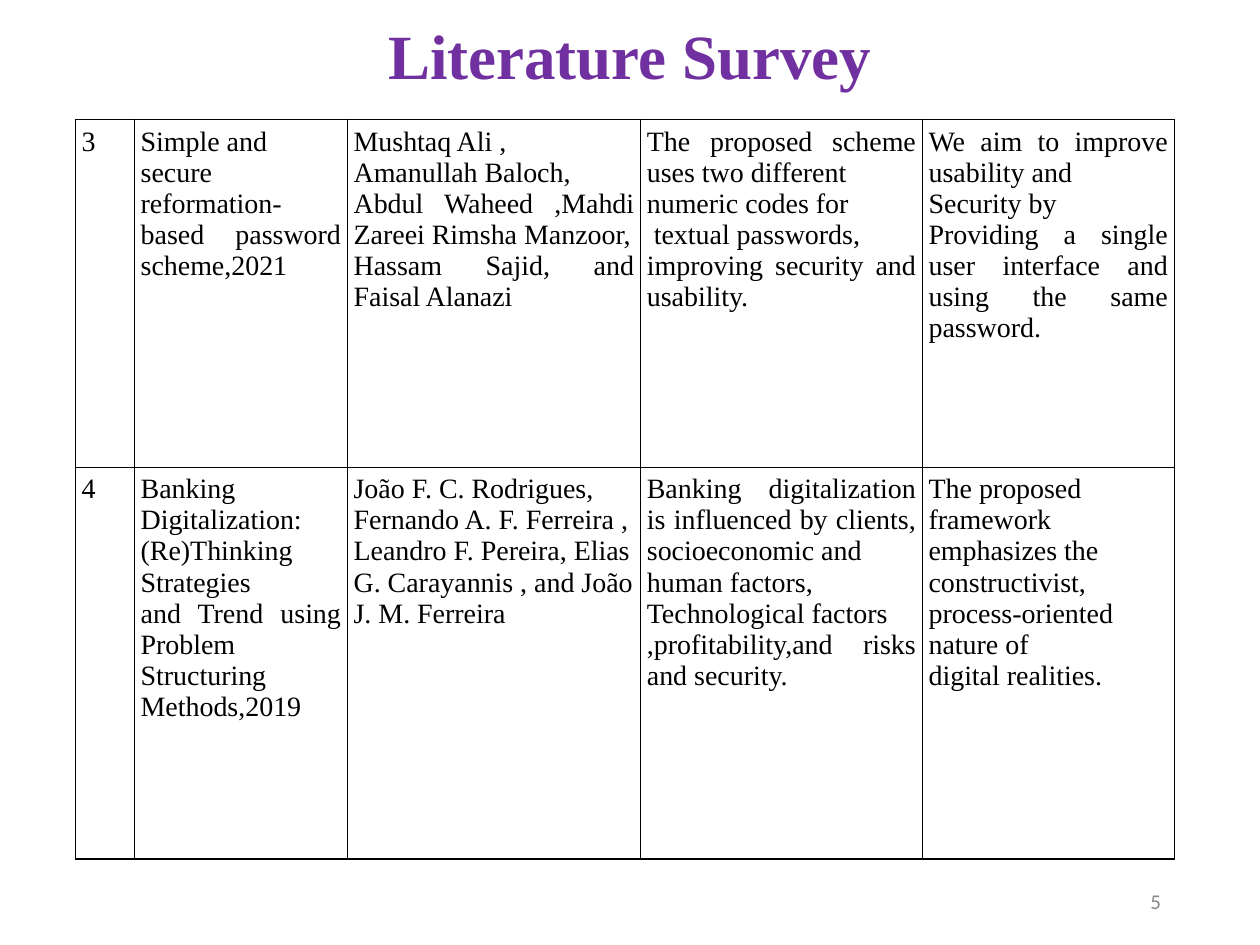
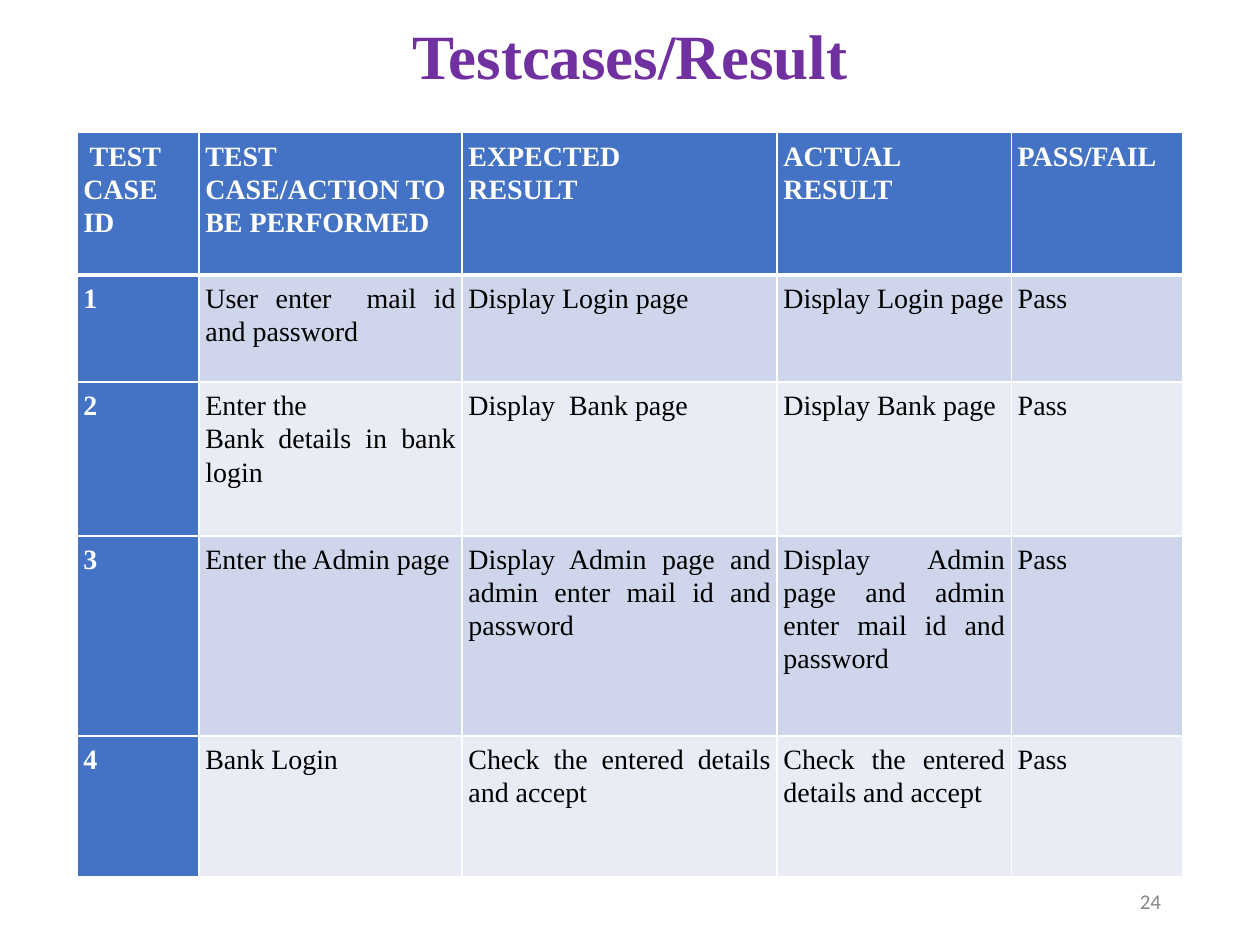
"""Build the literature survey and test case slides."""
import dataclasses

import lxml.etree
import pptx
import pptx.dml.color
import pptx.enum.text
import pptx.oxml.ns
import pptx.presentation
import pptx.slide
import pptx.table
import pptx.util

Pt = pptx.util.Pt
RGBColor = pptx.dml.color.RGBColor
ALIGN = pptx.enum.text.PP_ALIGN
MIDDLE = pptx.enum.text.MSO_ANCHOR.MIDDLE

PURPLE = RGBColor(0x70, 0x30, 0xA0)
GREY = RGBColor(0x88, 0x88, 0x88)
BLACK = RGBColor(0, 0, 0)
WHITE = RGBColor(0xFF, 0xFF, 0xFF)
BLUE = RGBColor(0x44, 0x72, 0xC4)
BAND_DARK = RGBColor(0xCF, 0xD5, 0xEA)
BAND_LIGHT = RGBColor(0xE9, 0xEB, 0xF5)

SERIF = "Times New Roman"
SANS = "Calibri"


@dataclasses.dataclass(frozen=True)
class TableStyle:
    """Colours and spacing of a table; headed tables have a blue first row and column."""
    border: RGBColor
    bands: tuple[RGBColor, RGBColor]
    headed: bool
    line_spacing: float


@dataclasses.dataclass(frozen=True)
class TableSlide:
    """A titled, numbered slide holding one table."""
    title: str
    number: int
    left: float
    top: float
    cols: tuple[float, ...]
    rows: tuple[float, ...]
    style: TableStyle
    cells: tuple[tuple[str, ...], ...]
    left_aligned: tuple[tuple[int, int], ...] = ()


PLAIN = TableStyle(BLACK, (WHITE, WHITE), False, 1.0)
BANDED = TableStyle(WHITE, (BAND_LIGHT, BAND_DARK), True, 1.07)

SLIDES = (
    TableSlide(
        "Literature Survey", 5, 43, 68.4,
        (33.8, 121.7, 167.6, 161, 144), (198.7, 223.9), PLAIN,
        (
            ("3",
             "Simple and\nsecure reformation-based password scheme,2021",
             "Mushtaq Ali ,\nAmanullah Baloch,\n"
             "Abdul Waheed ,Mahdi Zareei Rimsha Manzoor,\n"
             "Hassam Sajid, and Faisal Alanazi",
             "The proposed scheme uses two different\nnumeric codes for\n"
             " textual passwords,\nimproving security and usability.",
             "We aim to improve usability and\nSecurity by\n"
             "Providing a single user interface and using the same password."),
            ("4",
             "Banking Digitalization: (Re)Thinking Strategies\n"
             "and Trend using Problem Structuring Methods,2019",
             "João F. C. Rodrigues, Fernando A. F. Ferreira , Leandro F. Pereira, "
             "Elias G. Carayannis , and João J. M. Ferreira",
             "Banking digitalization is influenced by clients, socioeconomic and\n"
             "human factors,\nTechnological factors\n"
             ",profitability,and risks and security.",
             "The proposed\nframework emphasizes the\n"
             "constructivist, process-oriented nature of\ndigital realities."),
        ),
        left_aligned=((1, 2),),
    ),
    TableSlide(
        "Testcases/Result", 24, 44, 75.8,
        (69.8, 150.3, 180, 133.9, 97.9), (81.4, 61.2, 87.8, 114.5, 80.4), BANDED,
        (
            (" TEST CASE ID", "TEST CASE/ACTION TO BE PERFORMED",
             "EXPECTED\nRESULT", "ACTUAL RESULT", "PASS/FAIL"),
            ("1", "User enter  mail id and password",
             "Display Login page", "Display Login page", "Pass"),
            ("2", "Enter the\nBank details in bank login",
             "Display  Bank page", "Display Bank page", "Pass"),
            ("3", "Enter the Admin page",
             "Display Admin page and admin enter mail id and password",
             "Display Admin page and admin enter mail id and password", "Pass"),
            ("4", "Bank Login", "Check the entered details and accept",
             "Check the entered details and accept", "Pass"),
        ),
    ),
)


def format_paragraph(p, align: ALIGN, font: str, size: float, color: RGBColor,
                     bold: bool = False, spacing: float = 1.0) -> None:
    """Set the alignment, spacing and font of a paragraph."""
    p.alignment = align
    p.line_spacing = spacing
    p.font.name = font
    p.font.size = Pt(size)
    p.font.bold = bold
    p.font.color.rgb = color


def set_borders(cell: pptx.table._Cell, color: RGBColor, top: float, bottom: float) -> None:
    """Draw the four borders of a cell."""
    qn = pptx.oxml.ns.qn
    tc_pr = cell._tc.get_or_add_tcPr()
    for side, width in (("L", 1), ("R", 1), ("T", top), ("B", bottom)):
        ln = lxml.etree.SubElement(tc_pr, qn(f"a:ln{side}"), w=str(Pt(width)))
        fill = lxml.etree.SubElement(ln, qn("a:solidFill"))
        lxml.etree.SubElement(fill, qn("a:srgbClr"), val=str(color))


def add_title(slide: pptx.slide.Slide, text: str) -> None:
    """Fill and place the title placeholder."""
    sp = slide.shapes.title
    sp.left, sp.top, sp.width, sp.height = Pt(49.5), Pt(13), Pt(621), Pt(42)
    tf = sp.text_frame
    tf.text = text
    tf.vertical_anchor = MIDDLE
    tf.auto_size = pptx.enum.text.MSO_AUTO_SIZE.NONE
    format_paragraph(tf.paragraphs[0], ALIGN.CENTER, SERIF, 36, PURPLE, True, 0.9)


def add_page_number(slide: pptx.slide.Slide, number: int) -> None:
    """Write the page number at the bottom right."""
    sp = slide.shapes.add_textbox(Pt(508.5), Pt(500.5), Pt(162), Pt(28.75))
    tf = sp.text_frame
    tf.word_wrap = True
    tf.vertical_anchor = MIDDLE
    tf.text = str(number)
    format_paragraph(tf.paragraphs[0], ALIGN.RIGHT, SANS, 12, GREY)


def fill_cell(cell: pptx.table._Cell, text: str, row: int, col: int,
              style: TableStyle, left_aligned: bool) -> None:
    """Write and format one table cell."""
    heading = style.headed and (row == 0 or col == 0)
    top = 3 if style.headed and row == 1 else 1
    bottom = 3 if style.headed and row == 0 else 1
    set_borders(cell, style.border, top, bottom)
    cell.fill.solid()
    cell.fill.fore_color.rgb = BLUE if heading else style.bands[row % 2]
    cell.margin_left = cell.margin_right = Pt(3.6)
    cell.margin_top = cell.margin_bottom = Pt(3.6)
    cell.text_frame.text = text
    align = ALIGN.LEFT if heading or col == 0 or left_aligned else ALIGN.JUSTIFY
    for p in cell.text_frame.paragraphs:
        format_paragraph(p, align, SERIF, 16, WHITE if heading else BLACK,
                         heading, style.line_spacing)


def add_table(slide: pptx.slide.Slide, content: TableSlide) -> None:
    """Add the table of a slide."""
    table = slide.shapes.add_table(
        len(content.rows), len(content.cols), Pt(content.left), Pt(content.top),
        Pt(sum(content.cols)), Pt(sum(content.rows))).table
    table.first_row = content.style.headed
    table.first_col = content.style.headed
    table.horz_banding = content.style.headed
    for column, width in zip(table.columns, content.cols):
        column.width = Pt(width)
    for row, height in zip(table.rows, content.rows):
        row.height = Pt(height)
    for i, texts in enumerate(content.cells):
        for j, text in enumerate(texts):
            fill_cell(table.cell(i, j), text, i, j, content.style,
                      (i, j) in content.left_aligned)


def add_slide(prs: pptx.presentation.Presentation, content: TableSlide) -> None:
    """Add one complete table slide."""
    slide = prs.slides.add_slide(prs.slide_layouts.get_by_name("Title Only"))
    add_title(slide, content.title)
    add_page_number(slide, content.number)
    add_table(slide, content)


def main() -> None:
    """Build and save the presentation."""
    prs = pptx.Presentation()
    prs.slide_width, prs.slide_height = Pt(720), Pt(540)
    for content in SLIDES:
        add_slide(prs, content)
    prs.save("out.pptx")


if __name__ == "__main__":
    main()
